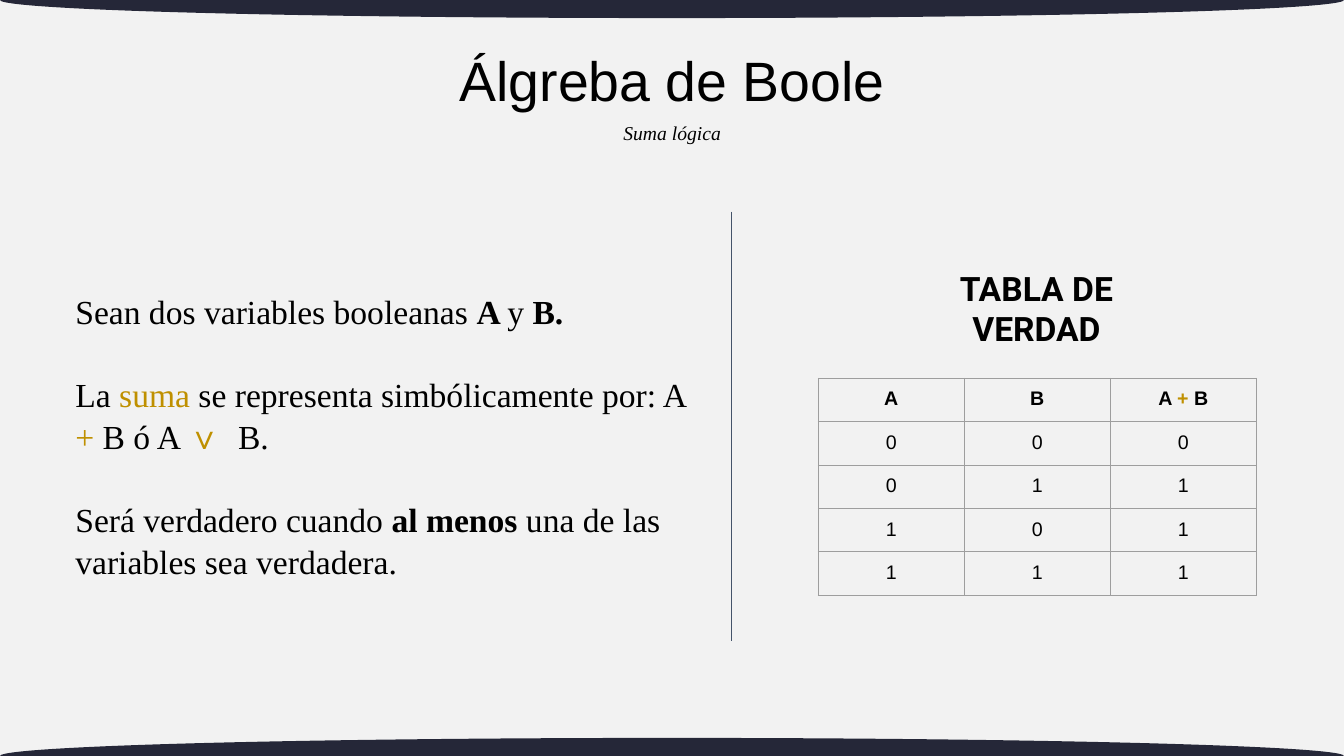
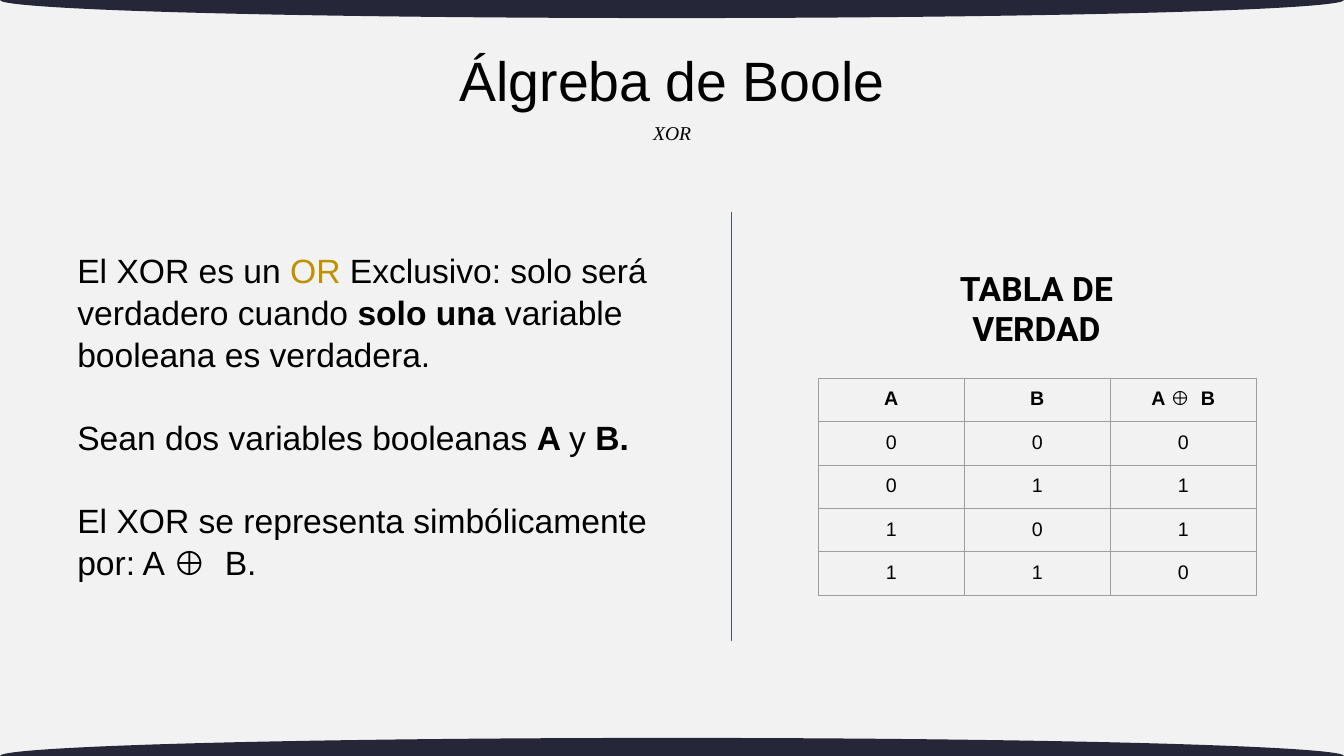
from lxml import etree
from pptx import Presentation
from pptx.dml.color import RGBColor
from pptx.enum.shapes import MSO_CONNECTOR, MSO_SHAPE
from pptx.enum.text import MSO_ANCHOR, PP_ALIGN
from pptx.oxml.ns import qn
from pptx.util import Cm, Pt

LEFT, CENTER = PP_ALIGN.LEFT, PP_ALIGN.CENTER
TOP, MIDDLE = MSO_ANCHOR.TOP, MSO_ANCHOR.MIDDLE
STRAIGHT, OVAL = MSO_CONNECTOR.STRAIGHT, MSO_SHAPE.OVAL

COLORS = {"back": "F2F2F2", "band": "252738", "text": "000000",
          "accent": "BF9000", "rule": "44546A", "grid": "9E9E9E"}
SANS, SERIF, HEADING = "Arial", "Times New Roman", "Roboto"
WIDTH, HEIGHT, BAND = 33.87, 19.05, 0.91
TITLE_ONLY = 5


def rgb(name):
    return RGBColor.from_string(COLORS[name])


def bold(text):
    return text, {"bold": True}


def accent(text):
    return text, {"color": "accent"}


class Deck:
    def __init__(self):
        self.prs = Presentation()
        self.prs.slide_width, self.prs.slide_height = Cm(WIDTH), Cm(HEIGHT)
        fill = self.prs.slide_master.background.fill
        fill.solid()
        fill.fore_color.rgb = rgb("back")
        self.s = None

    def slide(self, title, subtitle):
        self.s = self.prs.slides.add_slide(self.prs.slide_layouts[TITLE_ONLY])
        for edge in (0, HEIGHT):
            self.band(edge)
        sp = self.s.shapes.title
        self.place(sp, 4.95, 0.91, 23.98, 2.39)
        self.fill_text(sp.text_frame, [[title]], SANS, 39.6, CENTER,
                       inset=0.13, anchor=MIDDLE, spacing=0.9)
        self.text([[subtitle]], 8.33, 2.92, 17.22, 0.86, SERIF, 14, CENTER,
                  inset=0.13, italic=True)

    def band(self, edge):
        """Flat ellipse centred on the top or bottom edge."""
        sp = self.s.shapes.add_shape(OVAL, 0, Cm(edge - BAND / 2), Cm(WIDTH), Cm(BAND))
        sp.shadow.inherit = False
        sp.fill.solid()
        sp.fill.fore_color.rgb = rgb("band")
        sp.line.fill.background()

    def place(self, sp, x, y, w, h):
        sp.left, sp.top, sp.width, sp.height = Cm(x), Cm(y), Cm(w), Cm(h)

    def add_runs(self, p, runs, font, size, **base):
        for run in runs:
            text, style = (run, {}) if isinstance(run, str) else run
            style = {**base, **style}
            r = p.add_run()
            r.text = text
            r.font.name, r.font.size = font, Pt(size)
            r.font.bold = style.get("bold", False)
            r.font.italic = style.get("italic", False)
            r.font.color.rgb = rgb(style.get("color", "text"))

    def fill_text(self, tf, paragraphs, font, size, align, inset=0.25,
                  anchor=TOP, spacing=None, gap=0, **base):
        tf.word_wrap = True
        tf.vertical_anchor = anchor
        tf.margin_left = tf.margin_right = Cm(0.25)
        tf.margin_top = tf.margin_bottom = Cm(inset)
        for i, runs in enumerate(paragraphs):
            p = tf.add_paragraph() if i else tf.paragraphs[0]
            p.alignment = align
            if spacing:
                p.line_spacing = spacing
            if i:
                p.space_before = Pt(gap)
            self.add_runs(p, runs, font, size, **base)

    def text(self, paragraphs, x, y, w, h, font, size, align=LEFT, **style):
        sp = self.s.shapes.add_textbox(Cm(x), Cm(y), Cm(w), Cm(h))
        self.fill_text(sp.text_frame, paragraphs, font, size, align, **style)

    def divider(self):
        line = self.s.shapes.add_connector(STRAIGHT, Cm(18.44), Cm(5.33),
                                           Cm(18.44), Cm(16.15))
        line.line.color.rgb = rgb("rule")
        line.line.width = Pt(0.75)
        etree.SubElement(line._element.spPr, qn("a:effectLst"))

    def borders(self, cell):
        tcPr = cell._tc.get_or_add_tcPr()
        for i, side in enumerate(("lnL", "lnR", "lnT", "lnB")):
            ln = etree.Element(qn("a:" + side), w=str(Pt(0.75)))
            fill = etree.SubElement(ln, qn("a:solidFill"))
            etree.SubElement(fill, qn("a:srgbClr"), val=COLORS["grid"])
            tcPr.insert(i, ln)

    def truth_table(self, operation, results):
        """Table of a two-variable operation, under its heading."""
        self.text([["TABLA DE VERDAD"]], 23.29, 6.5, 5.66, 2.24, HEADING, 24,
                  CENTER, bold=True)
        inputs = [(a, b) for a in "01" for b in "01"]
        rows = [(["A"], ["B"], operation)]
        rows += [([a], [b], [c]) for (a, b), c in zip(inputs, results)]
        col_w, row_h = 3.68, 1.06
        frame = self.s.shapes.add_table(len(rows), 3, Cm(20.62), Cm(9.53),
                                        Cm(3 * col_w), Cm(len(rows) * row_h))
        table = frame.table
        table.first_row = table.horz_banding = False
        for col in table.columns:
            col.width = Cm(col_w)
        for i, row in enumerate(rows):
            table.rows[i].height = Cm(row_h)
            for j, runs in enumerate(row):
                cell = table.cell(i, j)
                cell.fill.background()
                cell.margin_left = cell.margin_right = Cm(0.25)
                cell.margin_top = cell.margin_bottom = Cm(0.25)
                p = cell.text_frame.paragraphs[0]
                p.alignment = CENTER
                self.add_runs(p, runs, SANS, 14, bold=i == 0)
                self.borders(cell)


def main():
    deck = Deck()
    title = "Álgreba de Boole"
    variables = ["Sean dos variables booleanas ", bold("A "), "y ", bold("B.")]
    body = {"size": 24, "spacing": 1.05, "gap": 28.8}

    # Logical sum
    deck.slide(title, "Suma lógica")
    deck.text([
        variables,
        ["La ", accent("suma"), " se representa simbólicamente por: A ",
         accent("+ "), "B ó A ", accent("∨"), "  B."],
        ["Será verdadero cuando ", bold("al menos "),
         "una de las variables sea verdadera."],
    ], 1.65, 7.04, 16.46, 8.28, SERIF, **body)
    deck.divider()
    deck.truth_table(["A ", accent("+"), " B"], "0111")

    # Exclusive or
    deck.slide(title, "XOR")
    deck.text([
        ["El XOR es un ", accent("OR "), "Exclusivo: solo será verdadero cuando ",
         bold("solo una"), " variable booleana es verdadera."],
        variables,
        ["El XOR se representa simbólicamente por: A ⊕  B."],
    ], 1.7, 5.99, 16.46, 9.5, SANS, **body)
    deck.divider()
    deck.truth_table(["A ⊕  B"], "0110")

    deck.prs.save("out.pptx")


if __name__ == "__main__":
    main()
